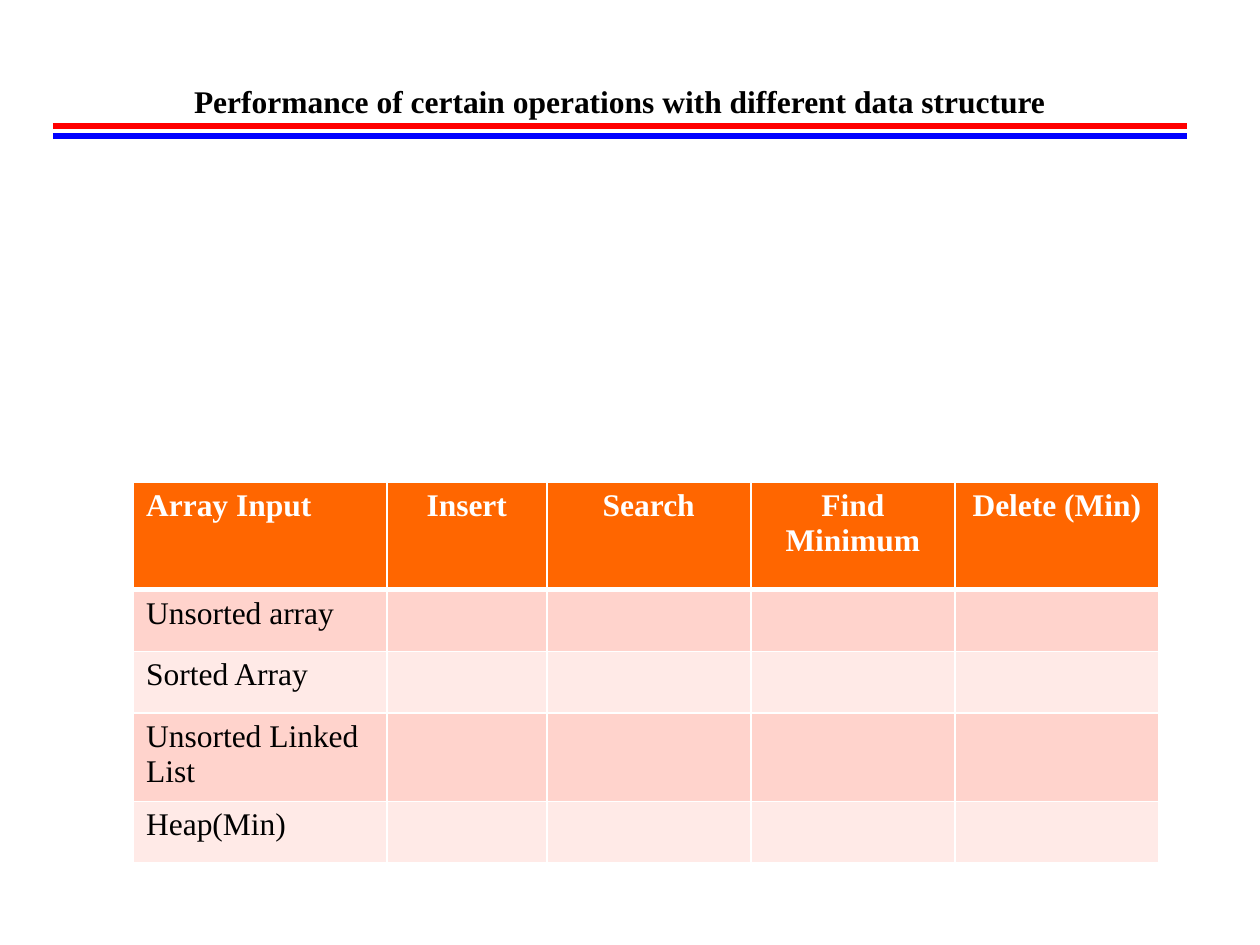
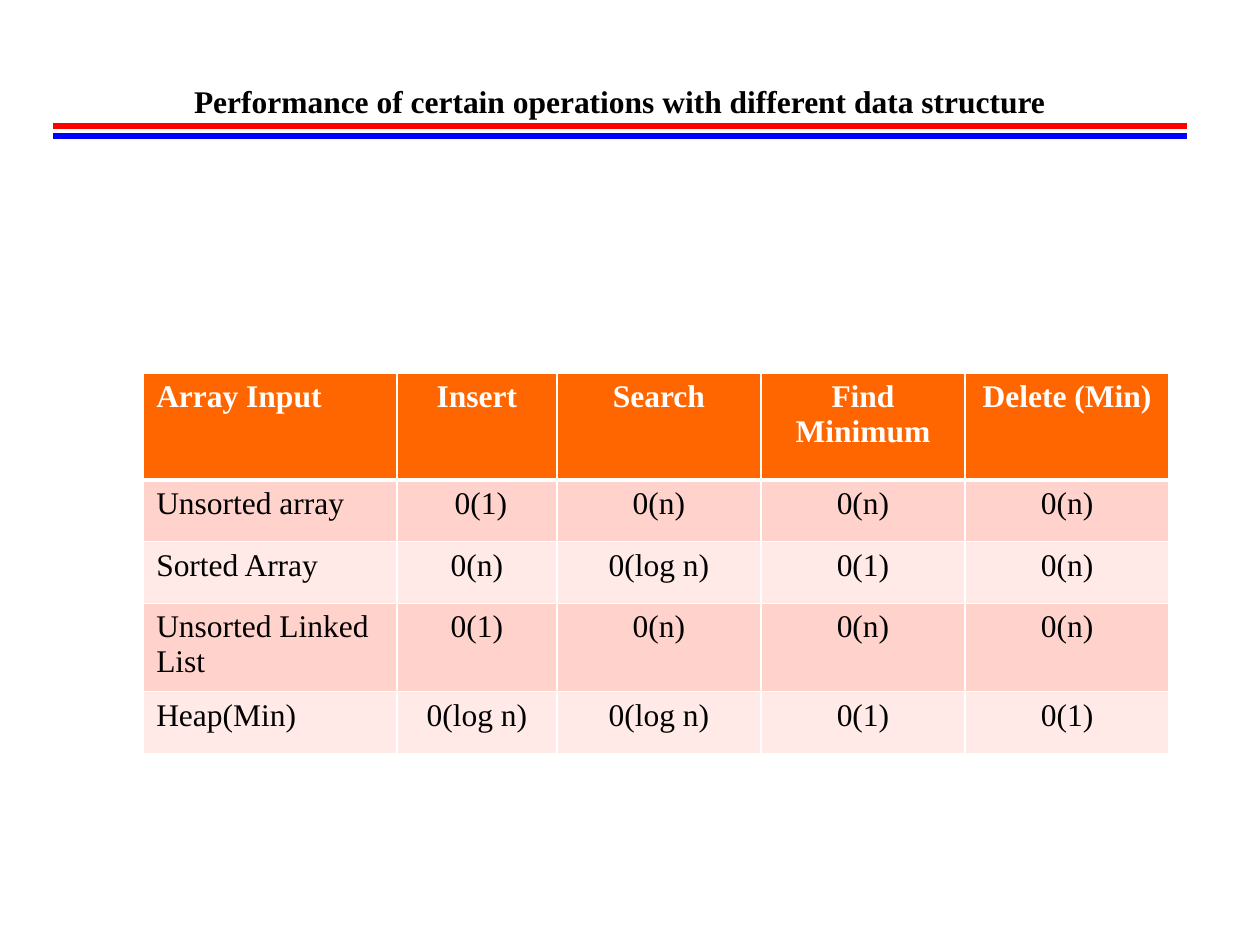
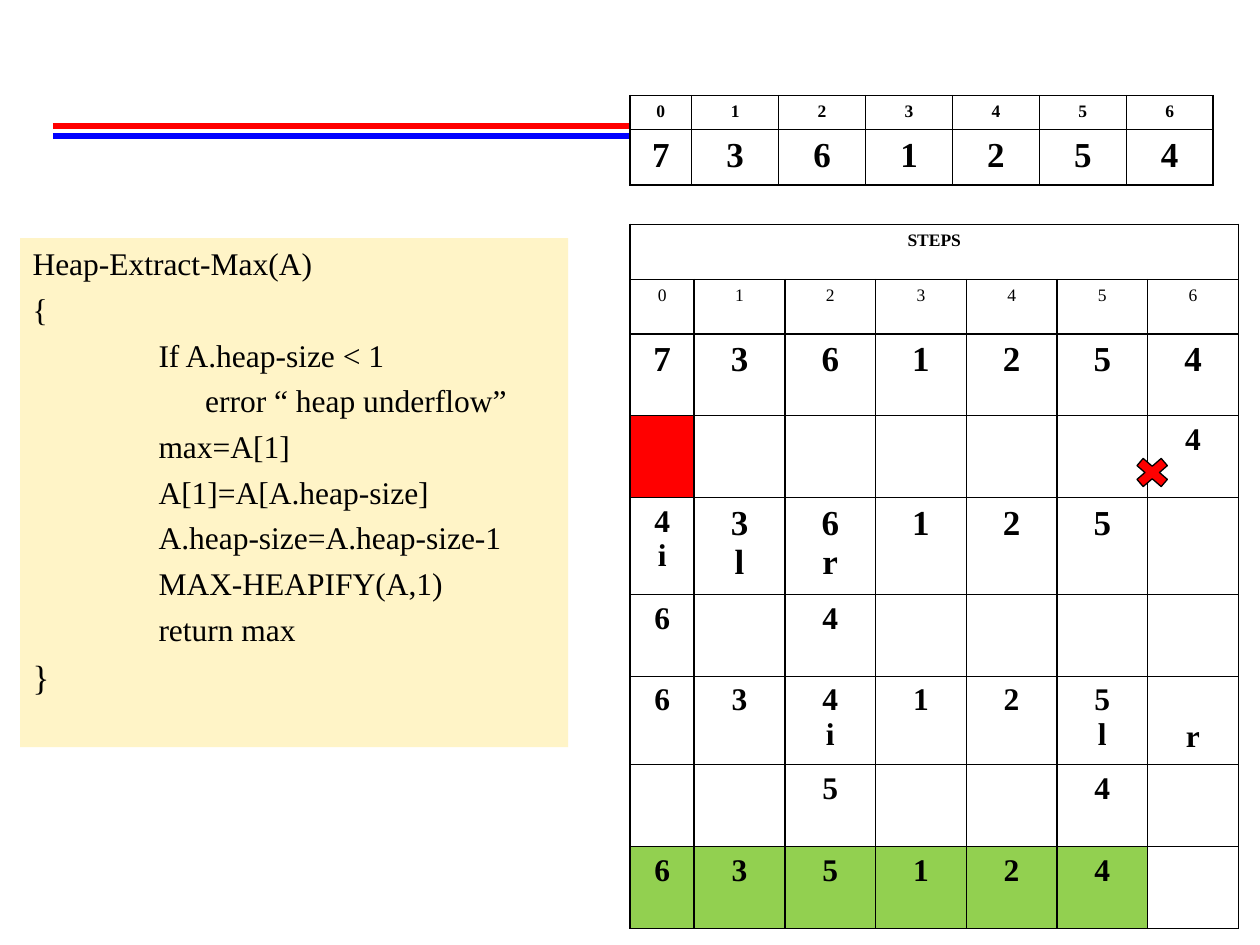
from dataclasses import dataclass

from lxml.etree import SubElement
from pptx import Presentation
from pptx.dml.color import RGBColor as Rgb
from pptx.enum.shapes import MSO_CONNECTOR as Connector, MSO_SHAPE as Shape
from pptx.enum.text import MSO_ANCHOR as Anchor, MSO_AUTO_SIZE as AutoSize, PP_ALIGN as Align
from pptx.oxml import parse_xml
from pptx.oxml.ns import nsdecls, qn
from pptx.util import Pt

PX = 9144  # EMU per px, 100 px to the inch


@dataclass(frozen=True)
class Theme:
    font: str = "Times New Roman"
    ink: str = "000000"
    paper: str = "FFFFFF"
    red: str = "FF0000"
    blue: str = "0000FF"
    header: str = "FF6600"
    band_dark: str = "FFD3CC"
    band_light: str = "FFEAE7"
    code_fill: str = "FFF4C7"
    result: str = "92D050"
    small: int = 10
    body: int = 18
    large: int = 20


theme = Theme()


def write_text(frame, text, size=theme.body, bold=False, color=theme.ink,
               align=Align.LEFT, space_before=0):
    frame.text = text
    frame.word_wrap = True
    for number, para in enumerate(frame.paragraphs):
        para.alignment = align
        para.space_before = Pt(space_before if number else 0)
        for span in para.runs:
            span.font.name = theme.font
            span.font.size = Pt(size)
            span.font.bold = bold
            span.font.color.rgb = Rgb.from_string(color)


def add_grid(page, left, top, widths, rows, border, first_align=Align.CENTER, header_rule=1):
    """Each row is (height, fill, text format, texts)."""
    heights = [row[0] for row in rows]
    grid = page.shapes.add_table(len(rows), len(widths), left * PX, top * PX,
                                 sum(widths) * PX, sum(heights) * PX).table
    grid.first_row = grid.horz_banding = False
    for column, width in zip(grid.columns, widths):
        column.width = width * PX
    for r, (height, fill, style, texts) in enumerate(rows):
        grid.rows[r].height = height * PX
        for c, text in enumerate(texts):
            cell = grid.cell(r, c)
            cell.fill.solid()
            cell.fill.fore_color.rgb = Rgb.from_string(fill)
            write_text(cell.text_frame, text, align=Align.CENTER if c else first_align, **style)
            points = {"L": 1, "R": 1, "T": header_rule if r == 1 else 1,
                      "B": header_rule if r == 0 else 1}
            for place, (side, width) in enumerate(points.items()):
                line = parse_xml(
                    f'<a:ln{side} {nsdecls("a")} w="{Pt(width)}"><a:solidFill>'
                    f'<a:srgbClr val="{border}"/></a:solidFill></a:ln{side}>')
                cell._tc.get_or_add_tcPr().insert(place, line)
    return grid


deck = Presentation()
deck.slide_width, deck.slide_height = 1000 * PX, 750 * PX
title_only, blank = deck.slide_layouts[5], deck.slide_layouts[6]
pages = [deck.slides.add_slide(layout) for layout in (title_only, title_only, blank)]

# Double rule on every slide
for page in pages:
    for y, color in ((108, theme.blue), (100, theme.red)):
        rule = page.shapes.add_connector(Connector.STRAIGHT, 42 * PX, y * PX, 942 * PX, y * PX)
        rule.line.color.rgb = Rgb.from_string(color)
        rule.line.width = Pt(3)
        SubElement(rule._element.spPr, qn("a:effectLst"))

# Slides 1 and 2: performance table, first open and then filled in
structures = ["Unsorted array", "Sorted Array", "Unsorted Linked List", "Heap(Min)"]
no_costs = [[""] * 4 for _ in structures]
costs = [
    [" 0(1)", "0(n)", "0(n)", "0(n)"],
    ["0(n)", "0(log n)", "0(1)", "0(n)"],
    ["0(1)", "0(n)", "0(n)", "0(n)"],
    ["0(log n)", "0(log n)", "0(1)", "0(1)"],
]
header_style = {"bold": True, "color": theme.paper}
for page, left, top, values in ((pages[0], 106, 383, no_costs), (pages[1], 114, 296, costs)):
    title = page.shapes.title
    title.left, title.top, title.width, title.height = 42 * PX, 25 * PX, 900 * PX, 75 * PX
    write_text(title.text_frame, "Performance of certain operations with different data structure",
               bold=True, align=Align.CENTER)
    title.text_frame.auto_size = AutoSize.NONE
    title.text_frame.vertical_anchor = Anchor.BOTTOM
    rows = [(85, theme.header, header_style,
             ["Array Input", "Insert", "Search", "Find Minimum", "Delete (Min)"])]
    for number, (structure, cost) in enumerate(zip(structures, values)):
        fill = theme.band_light if number % 2 else theme.band_dark
        rows.append((70 if number == 2 else 49, fill, {}, [structure] + cost))
    add_grid(page, left, top, [201, 127] + [162] * 3, rows, theme.paper,
             first_align=Align.LEFT, header_rule=3)

# Slide 3: pseudocode, each line with its indent
page = pages[2]
code = [
    (0, "Heap-Extract-Max(A)"),
    (0, "{"),
    (100, "If A.heap-size < 1"),
    (137, "error “ heap underflow”"),
    (100, "max=A[1]"),
    (100, "A[1]=A[A.heap-size]"),
    (100, "A.heap-size=A.heap-size-1"),
    (100, "MAX-HEAPIFY(A,1)"),
    (100, "return max"),
    (0, "}"),
]
box = page.shapes.add_shape(Shape.RECTANGLE, 16 * PX, 189 * PX, 435 * PX, 404 * PX)
box.shadow.inherit = False
box.fill.solid()
box.fill.fore_color.rgb = Rgb.from_string(theme.code_fill)
box.line.fill.background()
write_text(box.text_frame, "\n".join(text for _, text in code), space_before=4.5)
box.text_frame.vertical_anchor = Anchor.TOP
for para, (indent, _) in zip(box.text_frame.paragraphs, code):
    para._p.get_or_add_pPr().set("marL", str(indent * PX))
box.text_frame.paragraphs[-1].runs[0].font.size = Pt(theme.large)

# Slide 3: heap array and extraction steps
small = {"size": theme.small}
small_bold = {"size": theme.small, "bold": True}
body_bold = {"bold": True}
large_bold = {"size": theme.large, "bold": True}
indexes = list("0123456")
heap = list("7361254")
add_grid(page, 500, 76, [49] + [69] * 6, [
    (27, theme.paper, small_bold, indexes),
    (44, theme.paper, large_bold, heap),
], theme.ink)
steps = add_grid(page, 500, 178, [51] + [72] * 6, [
    (44, theme.paper, small_bold, ["STEPS"] + [""] * 6),
    (43, theme.paper, small, indexes),
    (65, theme.paper, large_bold, heap),
    (65, theme.paper, body_bold, [""] * 6 + ["4"]),
    (77, theme.paper, large_bold, ["4\ni", "3\nl", "6\nr", "1", "2", "5", ""]),
    (65, theme.paper, body_bold, ["6", "", "4", "", "", "", ""]),
    (70, theme.paper, body_bold, ["6", "3", "4\ni", "1", "2", "5\nl", "r"]),
    (65, theme.paper, body_bold, ["", "", "5", "", "", "4", ""]),
    (65, theme.result, body_bold, ["6", "3", "5", "1", "2", "4", ""]),
], theme.ink)
steps.cell(0, 0).merge(steps.cell(0, 6))
write_text(steps.cell(4, 0).text_frame, "4\ni", bold=True, align=Align.CENTER)
steps.cell(6, 6).margin_top = 34 * PX  # level with the second line of its row
for r, c, color in ((3, 0, theme.red), (8, 6, theme.paper)):
    steps.cell(r, c).fill.fore_color.rgb = Rgb.from_string(color)

# Slide 3: cross over the removed element
cross = page.shapes.add_shape(Shape.MATH_MULTIPLY, 896 * PX, 359 * PX, 37 * PX, 32 * PX)
cross.shadow.inherit = False
cross.fill.solid()
cross.fill.fore_color.rgb = Rgb.from_string(theme.red)
cross.line.color.rgb = Rgb.from_string(theme.ink)
cross.line.width = Pt(0.75)

deck.save("out.pptx")
